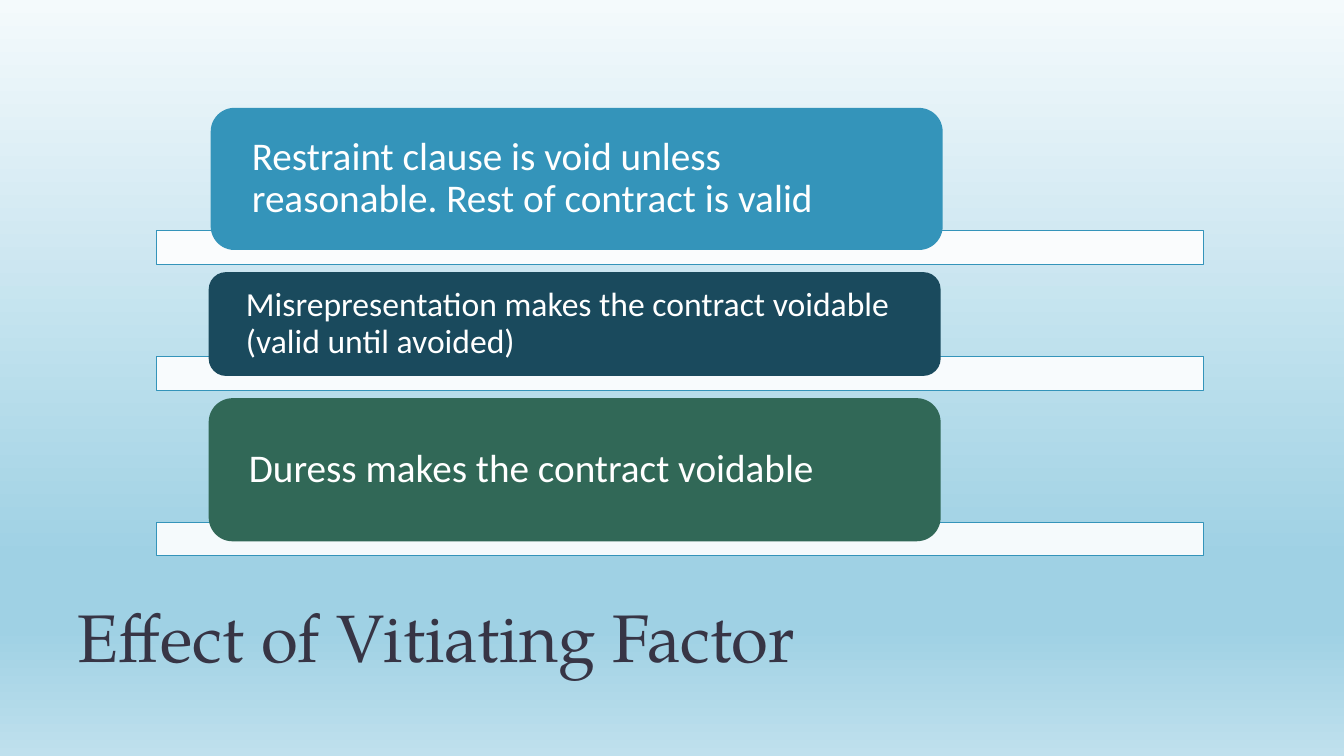
from dataclasses import dataclass

from lxml import etree
from pptx import Presentation
from pptx.dml.color import RGBColor
from pptx.enum.shapes import MSO_SHAPE
from pptx.enum.text import MSO_ANCHOR, PP_ALIGN
from pptx.oxml.ns import qn
from pptx.util import Inches, Pt

RECT, ROUNDED = MSO_SHAPE.RECTANGLE, MSO_SHAPE.ROUNDED_RECTANGLE
MIDDLE, BOTTOM = MSO_ANCHOR.MIDDLE, MSO_ANCHOR.BOTTOM
LEFT = PP_ALIGN.LEFT


@dataclass(frozen=True)
class Theme:
    white: str = "FFFFFF"
    ink: str = "373545"
    blue: str = "3494BA"
    navy: str = "1A4A5D"
    green: str = "316857"
    sky: tuple = ((0, "F4FAFC"), (74, "9FD1E4"), (83, "9FD1E4"), (100, "BFE0ED"))
    heading_font: str = "TeX Gyre Pagella"
    body_font: str = "Calibri"
    title_size: int = 48
    large: int = 28
    small: int = 24


THEME = Theme()
TITLE = "Effect of Vitiating Factor"
EFFECTS = [
    {"text": "Restraint clause is void unless reasonable. Rest of contract is valid",
     "color": THEME.blue, "size": THEME.large, "left": 2.09, "height": 1.41, "pad": 0.34},
    {"text": "Misrepresentation makes the contract voidable (valid until avoided)",
     "color": THEME.navy, "size": THEME.small, "left": 2.07, "height": 1.03, "pad": 0.32},
    {"text": "Duress makes the contract voidable",
     "color": THEME.green, "size": THEME.large, "left": 2.07, "height": 1.42, "pad": 0.33},
]
SLIDE_W, SLIDE_H = 13.33, 7.5
FIRST_TOP, CARD_W, CARD_GAP = 1.07, 7.26, 0.22
BAR_LEFT, BAR_W, BAR_H, OVERLAP = 1.55, 10.39, 0.33, 0.19


def rgb(color):
    return RGBColor.from_string(color)


def paint_background(page):
    fill = page.background.fill
    fill.gradient()
    fill.gradient_angle = 270
    stops = page.element.find(".//" + qn("a:gsLst"))
    for stop in list(stops):
        stops.remove(stop)
    for share, color in THEME.sky:
        stop = etree.SubElement(stops, qn("a:gs"), pos=str(share * 1000))
        etree.SubElement(stop, qn("a:srgbClr"), val=color)


def add_block(page, kind, left, top, width, height, color):
    block = page.shapes.add_shape(
        kind, Inches(left), Inches(top), Inches(width), Inches(height))
    block.shadow.inherit = False
    block.fill.solid()
    block.fill.fore_color.rgb = rgb(color)
    block.line.fill.background()
    return block


def write(shape, text, font, size, color, anchor, spacing, pad=(0.1, 0.05)):
    frame = shape.text_frame
    frame.word_wrap = True
    frame.vertical_anchor = anchor
    frame.margin_left = frame.margin_right = Inches(pad[0])
    frame.margin_top = frame.margin_bottom = Inches(pad[1])
    para = frame.paragraphs[0]
    para.text = text
    para.alignment = LEFT
    para.line_spacing = spacing
    para.font.name = font
    para.font.size = Pt(size)
    para.font.color.rgb = rgb(color)


def add_bar(page, top):
    bar = add_block(page, RECT, BAR_LEFT, top, BAR_W, BAR_H, THEME.white)
    bar.line.color.rgb = rgb(THEME.blue)
    bar.line.width = Pt(0.5)
    color = bar.element.spPr.find(qn("a:solidFill"))[0]
    etree.SubElement(color, qn("a:alpha"), val="90000")


def add_effects(page):
    top = FIRST_TOP
    for effect in EFFECTS:
        bottom = top + effect["height"]
        add_bar(page, bottom - OVERLAP)
        card = add_block(page, ROUNDED, effect["left"], top, CARD_W,
                         effect["height"], effect["color"])
        write(card, effect["text"], THEME.body_font, effect["size"],
              THEME.white, MIDDLE, 0.9, (effect["pad"], 0))
        top = bottom + CARD_GAP


def main():
    deck = Presentation()
    deck.slide_width, deck.slide_height = Inches(SLIDE_W), Inches(SLIDE_H)
    page = deck.slides.add_slide(deck.slide_layouts[6])
    paint_background(page)
    box = page.shapes.add_textbox(
        Inches(0.67), Inches(5.58), Inches(12), Inches(1.17))
    write(box, TITLE, THEME.heading_font, THEME.title_size, THEME.ink, BOTTOM, 0.8)
    add_effects(page)
    deck.save("out.pptx")


if __name__ == "__main__":
    main()
